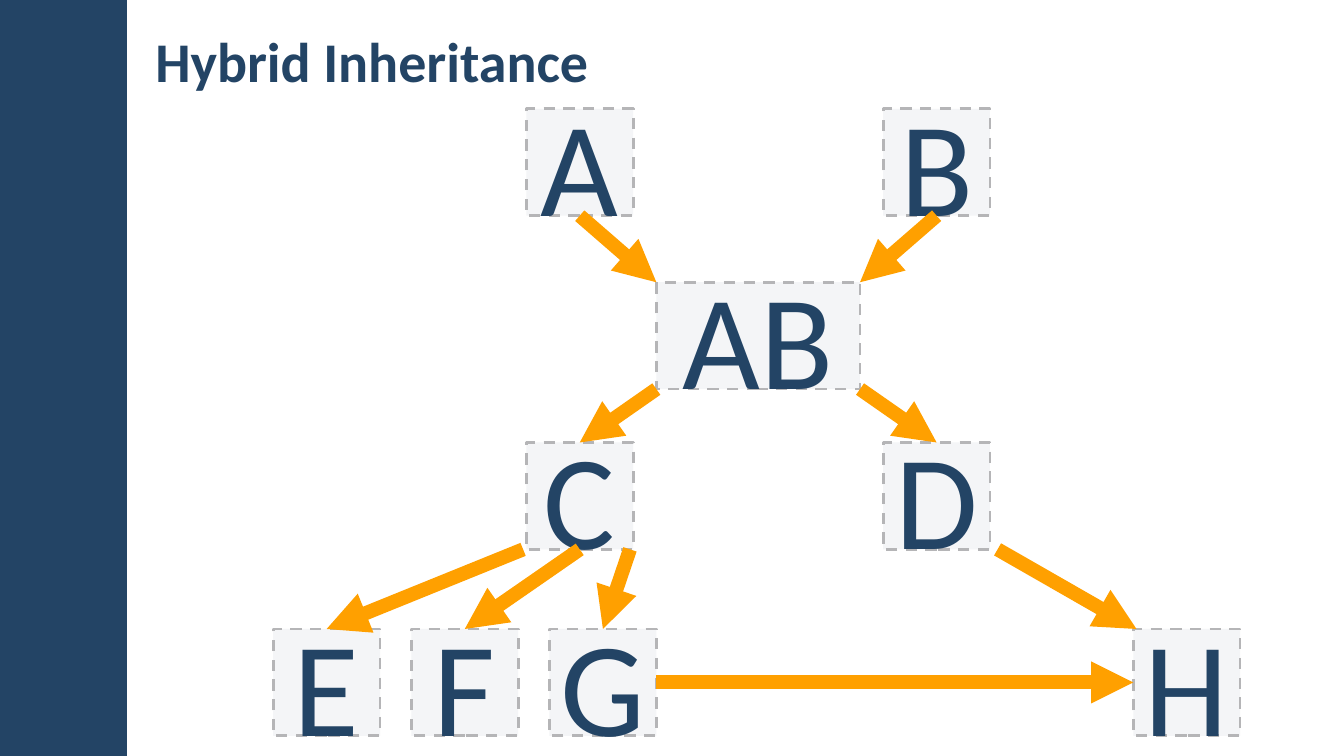
from lxml.etree import SubElement
from pptx import Presentation
from pptx.dml.color import RGBColor
from pptx.enum.dml import MSO_LINE
from pptx.enum.shapes import MSO_CONNECTOR, MSO_SHAPE
from pptx.enum.text import MSO_ANCHOR, PP_ALIGN
from pptx.oxml.ns import qn
from pptx.util import Inches, Pt

WIDTH, HEIGHT = 13.33, 7.5
NAVY, PALE, GREY, ORANGE = "234465", "F4F5F7", "B5B5B7", "FFA000"

# Diagram grid, in inches from the corner of the diagram's box
SIDE, WIDE = 1.06, 2.02
ROWS = (0, 1.72, 3.31, 5.16)
LEFT_COL, RIGHT_COL, LAST_COL = 2.51, 6.05, 8.53
LEAF_STEP = 1.37
MIDDLE_COL = (LEFT_COL + RIGHT_COL + SIDE - WIDE) / 2

# Class name: column, row, width
CLASSES = {
    "A": (LEFT_COL, 0, SIDE),
    "B": (RIGHT_COL, 0, SIDE),
    "AB": (MIDDLE_COL, 1, WIDE),
    "C": (LEFT_COL, 2, SIDE),
    "D": (RIGHT_COL, 2, SIDE),
    **{name: (i * LEAF_STEP, 3, SIDE) for i, name in enumerate("EFG")},
    "H": (LAST_COL, 3, SIDE),
}

# Points on a class box, as shares of its width and height
TOP, LEFT, BOTTOM, RIGHT = (0.5, 0), (0, 0.5), (0.5, 1), (1, 0.5)
SITES = {TOP: 0, LEFT: 1, BOTTOM: 2, RIGHT: 3}
ARROWS = [
    ("A", BOTTOM, "AB", (0, 0)),
    ("B", BOTTOM, "AB", (1, 0)),
    ("AB", (0, 1), "C", TOP),
    ("AB", (1, 1), "D", TOP),
    ("C", (-0.03, 1), "E", TOP),
    ("C", BOTTOM, "F", TOP),
    ("C", (0.97, 1), "G", TOP),
    ("D", (1.07, 1), "H", (0.03, 0)),
    ("G", RIGHT, "H", LEFT),
]


def color(value):
    return RGBColor.from_string(value)


def set_font(p, **values):
    for name, value in {"name": "Calibri", **values}.items():
        setattr(p.font, name, value)
    p.font.color.rgb = color(NAVY)


def add_rect(s, box, fill):
    sp = s.shapes.add_shape(MSO_SHAPE.RECTANGLE, *map(Inches, box))
    sp.shadow.inherit = False
    sp.fill.solid()
    sp.fill.fore_color.rgb = color(fill)
    return sp


def add_sidebar(s, box):
    add_rect(s, box, NAVY).line.fill.background()


def add_title(s, box, text):
    sp = s.shapes.title
    for name, value in zip(("left", "top", "width", "height"), box):
        setattr(sp, name, Inches(value))
    tf = sp.text_frame
    tf.vertical_anchor = MSO_ANCHOR.MIDDLE
    margins = {"left": 0.12, "top": 0.04, "right": 0.12, "bottom": 0.04}
    for side, value in margins.items():
        setattr(tf, f"margin_{side}", Inches(value))
    p = tf.paragraphs[0]
    p.text = text
    p.alignment = PP_ALIGN.LEFT
    set_font(p, size=Pt(40), bold=True)


def add_class(s, box, name):
    sp = add_rect(s, box, PALE)
    sp.line.color.rgb = color(GREY)
    sp.line.width = Pt(2)
    sp.line.dash_style = MSO_LINE.DASH
    tf = sp.text_frame
    tf.vertical_anchor = MSO_ANCHOR.MIDDLE
    p = tf.paragraphs[0]
    p.text = name
    p.alignment = PP_ALIGN.CENTER
    set_font(p, size=Pt(96))


def point_on(sp, share):
    return (int(sp.left + share[0] * sp.width),
            int(sp.top + share[1] * sp.height))


def add_arrow(s, start, start_share, end, end_share):
    c = s.shapes.add_connector(MSO_CONNECTOR.STRAIGHT,
                               *point_on(start, start_share),
                               *point_on(end, end_share))
    if start_share in SITES:
        c.begin_connect(start, SITES[start_share])
    if end_share in SITES:
        c.end_connect(end, SITES[end_share])
    c.line.color.rgb = color(ORANGE)
    c.line.width = Pt(10)
    SubElement(c.line._get_or_add_ln(), qn("a:tailEnd"), type="triangle")
    SubElement(c._element.spPr, qn("a:effectLst"))


def add_diagram(s, left, top):
    for name, (col, row, width) in CLASSES.items():
        add_class(s, (left + col, top + ROWS[row], width, SIDE), name)
    boxes = {sp.text_frame.text: sp for sp in s.shapes if sp.has_text_frame}
    for start, start_share, end, end_share in ARROWS:
        add_arrow(s, boxes[start], start_share, boxes[end], end_share)


def main():
    prs = Presentation()
    prs.slide_width, prs.slide_height = Inches(WIDTH), Inches(HEIGHT)
    s = prs.slides.add_slide(prs.slide_layouts[5])
    add_sidebar(s, (0, 0, 1.26, HEIGHT))
    add_title(s, (1.42, 0.11, 9.19, 0.97), "Hybrid Inheritance")
    add_diagram(s, 2.71, 1.08)
    prs.save("out.pptx")


if __name__ == "__main__":
    main()
